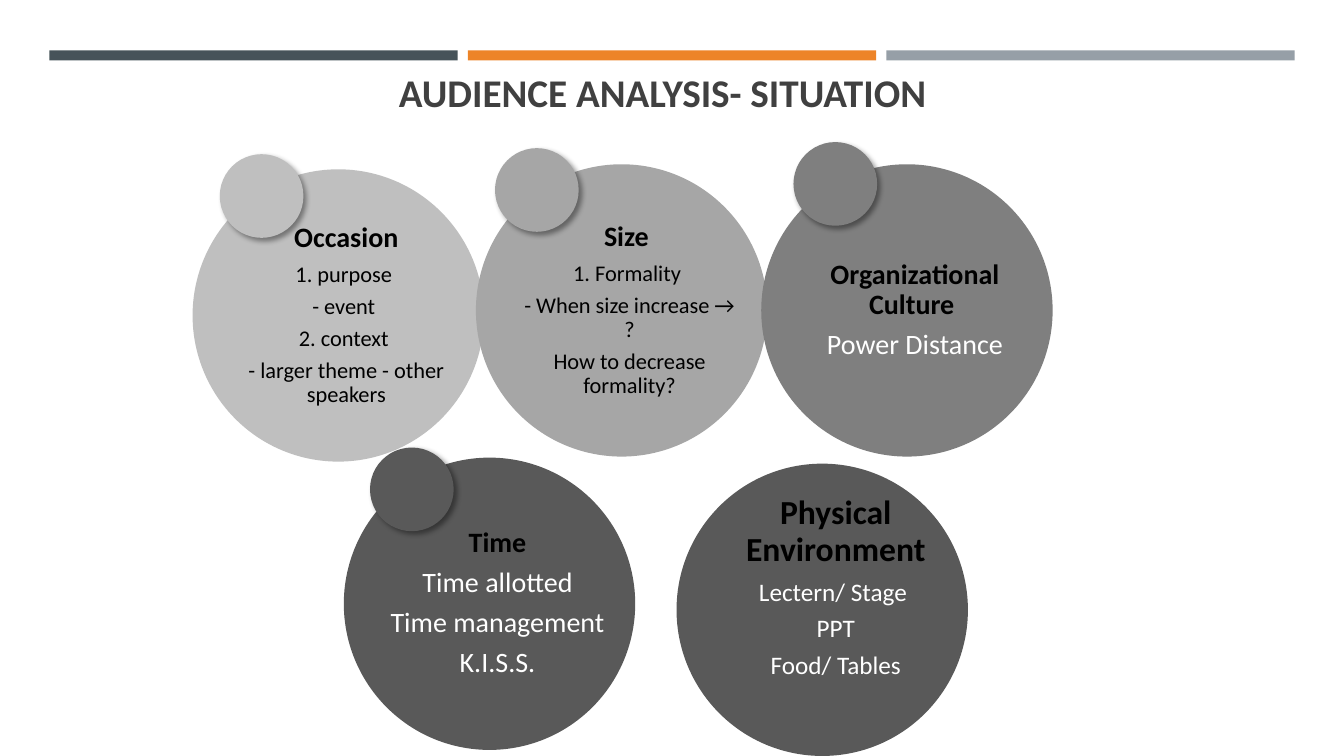
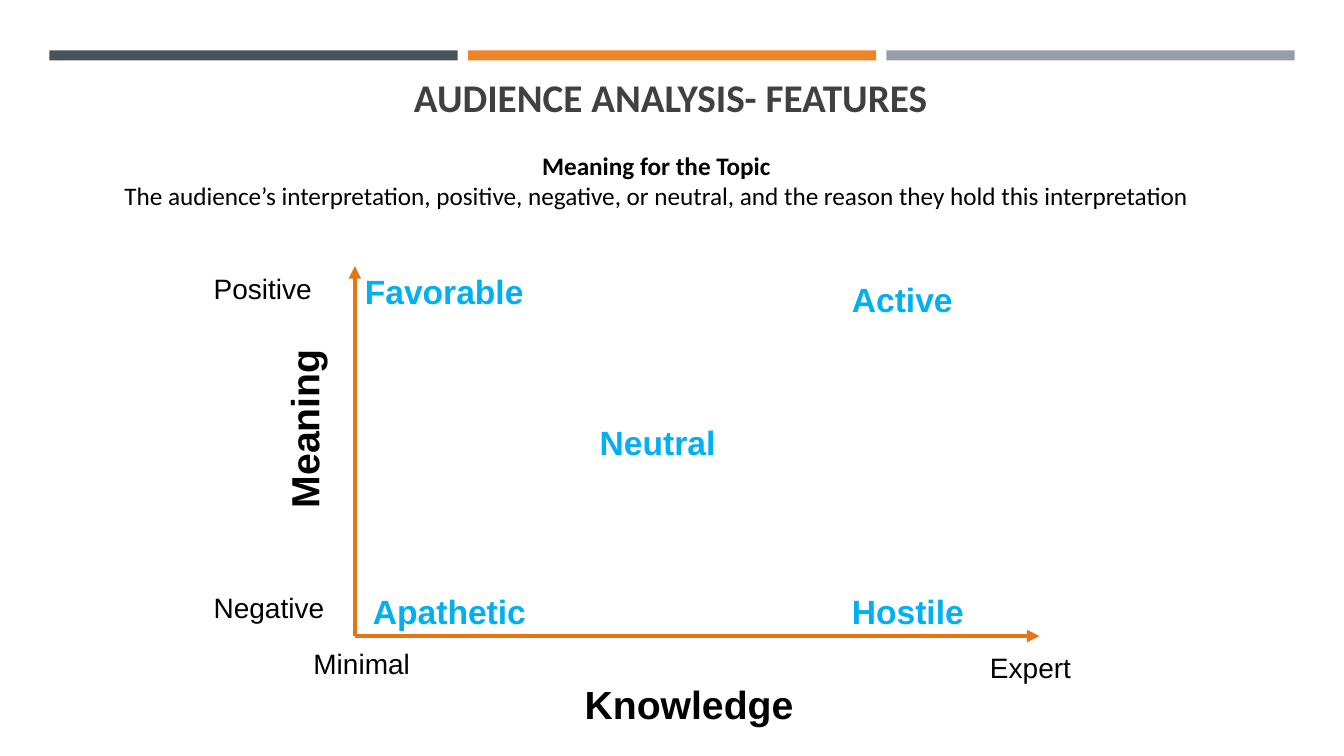
from dataclasses import dataclass

from lxml.etree import SubElement
from pptx import Presentation
from pptx.dml.color import RGBColor
from pptx.enum.shapes import MSO_CONNECTOR, MSO_SHAPE
from pptx.enum.text import MSO_ANCHOR, MSO_AUTO_SIZE, PP_ALIGN
from pptx.oxml.ns import qn
from pptx.util import Inches, Pt


@dataclass(frozen=True)
class Theme:
    bands: tuple = ("465359", "ED8428", "969FA7")
    title: str = "404040"
    black: str = "000000"
    white: str = "FFFFFF"
    accent: str = "00B0F0"
    axis: str = "E67613"
    grays: tuple = ("BFBFBF", "A6A6A6", "7F7F7F", "595959")
    text_font: str = "Calibri"
    chart_font: str = "Arial"
    huge: int = 28
    large: int = 24
    medium: int = 20
    small: int = 18
    tiny: int = 16


theme = Theme()


def write(tf, lines, align, frame, gap=0, line_spacing=None):
    """Fill a text frame with (text, format) lines; gap is a share of the type size."""
    frame = {"word_wrap": True, "auto_size": MSO_AUTO_SIZE.NONE, **frame}
    for name, value in frame.items():
        setattr(tf, name, value)
    for i, (text, fmt) in enumerate(lines):
        p = tf.add_paragraph() if i else tf.paragraphs[0]
        p.alignment = align
        p.line_spacing = line_spacing
        p.space_after = Pt(gap * fmt["size"])
        r = p.add_run()
        r.text = text
        r.font.color.rgb = RGBColor.from_string(fmt["color"])
        for name in ("name", "bold"):
            setattr(r.font, name, fmt[name])
        r.font.size = Pt(fmt["size"])


def add_filled(slide, kind, box, color):
    """Add a flat shape without outline; box is left, top, width, height."""
    sp = slide.shapes.add_shape(kind, *map(Inches, box))
    sp.fill.solid()
    sp.fill.fore_color.rgb = RGBColor.from_string(color)
    sp.line.fill.background()
    sp.shadow.inherit = False
    return sp


prs = Presentation()
prs.slide_width, prs.slide_height = Inches(13.33), Inches(7.5)
layout = prs.slide_layouts[5]

# Titled slides
title_fmt = dict(name=theme.text_font, size=theme.huge, bold=True, color=theme.title)
slides = []
for text, left, top in (
    ("AUDIENCE ANALYSIS- SITUATION", 0.54, 0.6),
    ("AUDIENCE ANALYSIS- FEATURES", 0.62, 0.65),
):
    s = prs.slides.add_slide(layout)
    title = s.shapes.title
    title.left, title.top = Inches(left), Inches(top)
    title.width, title.height = Inches(12.06), Inches(0.59)
    write(title.text_frame, [(text, title_fmt)], PP_ALIGN.CENTER,
          {"vertical_anchor": MSO_ANCHOR.BOTTOM})
    slides.append(s)
situation, features = slides

# Colour bands, moved to the shared layout
for i, color in enumerate(theme.bands):
    band = add_filled(situation, MSO_SHAPE.RECTANGLE, (0.49 + 4.15 * i, 0.5, 4.05, 0.1), color)
    layout.shapes.element.append(band.element)

# Situation: discs as (left, top), colour, dot (left, top), heading, heading size,
# body lines, body size, body colour, bottom and right margins
light, mid, dark, darkest = theme.grays
discs = (
    ((1.91, 1.68), light, (2.18, 1.53), "Occasion", theme.medium,
     ("1. purpose ", "- event ", "2. context ", "- larger theme - other speakers"),
     theme.tiny, theme.black, 0.16, 0.3),
    ((4.72, 1.63), mid, (4.91, 1.47), "Size ", theme.medium,
     ("1. Formality ", "- When size increase → ?", "How to decrease formality?"),
     theme.tiny, theme.black, 0.16, 0.3),
    ((7.55, 1.63), dark, (7.87, 1.41), "Organizational Culture ", theme.medium,
     ("Power Distance",), theme.medium, theme.white, 0.16, 0.3),
    ((3.41, 4.54), darkest, (3.67, 4.44), "Time", theme.medium,
     ("Time allotted", "Time management ", "K.I.S.S."),
     theme.medium, theme.white, 0.16, 0.3),
    ((6.71, 4.6), darkest, None, "Physical Environment", theme.large,
     ("Lectern/ Stage ", "PPT", "Food/ Tables"),
     theme.small, theme.white, 0.63, 0.19),
)
for (left, top), color, dot, head, head_size, body, size, ink, bottom, right in discs:
    add_filled(situation, MSO_SHAPE.OVAL, (left, top, 2.89, 2.9), color)
    tb = situation.shapes.add_textbox(*map(Inches, (left + 0.46, top, 2.43, 2.9)))
    head_fmt = dict(name=theme.text_font, size=head_size, bold=True, color=theme.black)
    body_fmt = dict(name=theme.text_font, size=size, bold=False, color=ink)
    write(tb.text_frame, [(head, head_fmt)] + [(line, body_fmt) for line in body],
          PP_ALIGN.CENTER,
          {"vertical_anchor": MSO_ANCHOR.MIDDLE, "margin_left": 0,
           "margin_top": Inches(0.19 if dot is None else 0.16),
           "margin_right": Inches(right), "margin_bottom": Inches(bottom)},
          gap=0.35, line_spacing=0.9)
    if dot:
        sp = add_filled(situation, MSO_SHAPE.OVAL, (*dot, 0.83, 0.83), color)
        effects = sp.element.spPr.find(qn("a:effectLst"))
        shadow = SubElement(effects, qn("a:outerShdw"), blurRad=str(Pt(4)),
                            dist=str(Pt(3)), dir="2700000", algn="tl", rotWithShape="0")
        shade = SubElement(shadow, qn("a:srgbClr"), val=theme.black)
        SubElement(shade, qn("a:alpha"), val="40000")

# Features: introduction
intro = dict(name=theme.text_font, size=theme.small, bold=False, color=theme.black)
tb = features.shapes.add_textbox(*map(Inches, (0.65, 1.44, 11.72, 0.71)))
write(tb.text_frame, [
    ("Meaning for the Topic", {**intro, "bold": True}),
    ("The audience’s interpretation, positive, negative, or neutral, "
     "and the reason they hold this interpretation", intro),
], PP_ALIGN.CENTER, {})

# Features: axis names, axis ends and audience types
end = dict(name=theme.chart_font, size=theme.medium, bold=False, color=theme.black)
axis = {**end, "size": theme.huge, "bold": True}
kind = {**axis, "size": theme.large, "color": theme.accent}
labels = (
    ("Positive", end, (2.02, 2.64, 1.34, 0.43), 0),
    ("Negative", end, (2.02, 5.81, 1.43, 0.43), 0),
    ("Minimal", end, (3.01, 6.36, 1.26, 0.43), 0),
    ("Expert", end, (9.72, 6.4, 1.18, 0.43), 0),
    ("Meaning", axis, (2.09, 3.94, 1.84, 0.56), 270),
    ("Knowledge", axis, (5.7, 6.7, 2.43, 0.56), 0),
    ("Favorable", kind, (3.52, 2.64, 2.1, 0.5), 0),
    ("Active", kind, (8.35, 2.72, 2.22, 0.5), 0),
    ("Neutral", kind, (5.85, 4.14, 1.86, 0.5), 0),
    ("Apathetic", kind, (3.6, 5.81, 1.93, 0.5), 0),
    ("Hostile", kind, (8.35, 5.81, 1.51, 0.5), 0),
)
for text, fmt, box, rotation in labels:
    tb = features.shapes.add_textbox(*map(Inches, box))
    tb.rotation = rotation
    write(tb.text_frame, [(text, fmt)], PP_ALIGN.LEFT, {})

# Features: axis arrows from the shared origin
origin = (3.52, 6.31)
for tip in ((3.52, 2.64), (10.31, 6.31)):
    arrow = features.shapes.add_connector(MSO_CONNECTOR.STRAIGHT, *map(Inches, origin + tip))
    arrow.line.color.rgb = RGBColor.from_string(theme.axis)
    arrow.line.width = Pt(3)
    spPr = arrow.element.spPr
    SubElement(spPr.find(qn("a:ln")), qn("a:tailEnd"), type="triangle")
    SubElement(spPr, qn("a:effectLst"))

prs.save("out.pptx")
